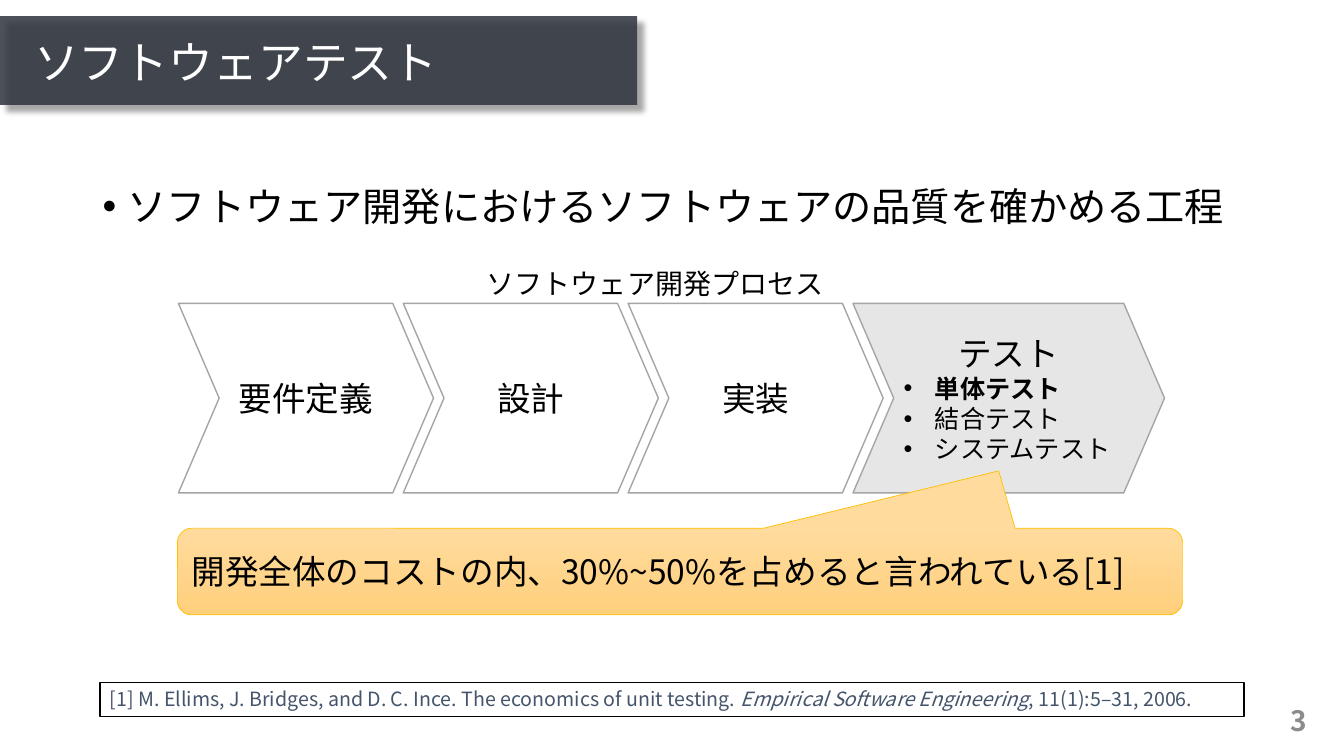
from lxml.etree import SubElement
from pptx import Presentation
from pptx.dml.color import RGBColor
from pptx.enum.shapes import MSO_SHAPE
from pptx.enum.text import MSO_ANCHOR, PP_ALIGN
from pptx.oxml.ns import qn
from pptx.util import Inches, Pt

FONT = "Noto Sans CJK JP"
TITLE = "ソフトウェアテスト"
SUMMARY = "ソフトウェア開発におけるソフトウェアの品質を確かめる工程"
PROCESS_CAPTION = "ソフトウェア開発プロセス"
STAGES = ["要件定義", "設計", "実装", "テスト"]
TEST_LEVELS = [("単体テスト", True), ("結合テスト", False), ("システムテスト", False)]
COST_NOTE = "開発全体のコストの内、30%~50%を占めると言われている[1]"
CITATION = [
    ("[1] M. Ellims, J. Bridges, and D. C. Ince. The economics of unit testing. ", False),
    ("Empirical Software Engineering", True),
    (", 11(1):5–31, 2006.", False),
]
PAGE_NUMBER = "3"

STAGE_LEFT, STAGE_TOP, STAGE_STEP, STAGE_HEIGHT = 1.77, 3.01, 2.23, 1.88
STAGE_WIDTH, TEST_WIDTH = 2.53, 3.09


def color(value):
    return RGBColor.from_string(value)


def add_run(paragraph, text, size, fill="000000", **formats):
    run = paragraph.add_run()
    run.text = text
    run.font.color.rgb = color(fill)
    for name, value in {"size": Pt(size), "name": FONT, **formats}.items():
        setattr(run.font, name, value)
    SubElement(run.font._element, qn("a:ea"), typeface=FONT)


def format_paragraph(paragraph, **formats):
    for name, value in formats.items():
        setattr(paragraph, name, value)


def add_bullet(paragraph, indent):
    properties = paragraph._p.get_or_add_pPr()
    properties.set("marL", str(Inches(indent)))
    properties.set("indent", str(-Inches(indent)))
    SubElement(properties, qn("a:buFont"), typeface="Arial")
    SubElement(properties, qn("a:buChar"), char="•")


def prepare_text(shape, anchor):
    frame = shape.text_frame
    frame.word_wrap = True
    frame.vertical_anchor = anchor
    paragraph = frame.paragraphs[0]
    paragraph.alignment = PP_ALIGN.LEFT
    return paragraph


def add_text(slide, box, anchor=MSO_ANCHOR.TOP):
    shape = slide.shapes.add_textbox(*map(Inches, box))
    return prepare_text(shape, anchor)


def add_panel(slide, kind, box, fill, line=None, width=1, adjustments=()):
    shape = slide.shapes.add_shape(kind, *map(Inches, box))
    shape.shadow.inherit = False
    for index, value in enumerate(adjustments):
        shape.adjustments[index] = value
    shape.fill.solid()
    shape.fill.fore_color.rgb = color(fill)
    if line:
        shape.line.color.rgb = color(line)
        shape.line.width = Pt(width)
    else:
        shape.line.fill.background()
    return shape


def add_title(slide):
    bar = add_panel(slide, MSO_SHAPE.RECTANGLE, (0, 0.16, 6.32, 0.88), "30353F")
    properties = bar._element.spPr
    fill = properties.find(qn("a:solidFill"))
    SubElement(fill[0], qn("a:alpha"), val="86000")
    shadow = SubElement(properties.find(qn("a:effectLst")), qn("a:outerShdw"),
                        blurRad=str(Pt(4)), dist=str(Pt(6)), dir="2700000",
                        algn="tl", rotWithShape="0")
    shade = SubElement(shadow, qn("a:srgbClr"), val="000000")
    SubElement(shade, qn("a:alpha"), val="40000")
    paragraph = add_text(slide, (0.24, 0.24, 6.13, 0.8), MSO_ANCHOR.MIDDLE)
    format_paragraph(paragraph, line_spacing=0.9)
    add_run(paragraph, TITLE, 32, "FFFFFF")


def add_stages(slide):
    for index, stage in enumerate(STAGES):
        is_test = index == len(STAGES) - 1
        box = (STAGE_LEFT + index * STAGE_STEP, STAGE_TOP,
               TEST_WIDTH if is_test else STAGE_WIDTH, STAGE_HEIGHT)
        chevron = add_panel(slide, MSO_SHAPE.CHEVRON, box,
                            "E7E6E6" if is_test else "FFFFFF", "A5A5A5",
                            adjustments=[0.215])
        paragraph = prepare_text(chevron, MSO_ANCHOR.MIDDLE)
        paragraph.alignment = PP_ALIGN.CENTER
        add_run(paragraph, stage, 24)
    for level, bold in TEST_LEVELS:
        paragraph = chevron.text_frame.add_paragraph()
        paragraph.alignment = PP_ALIGN.LEFT
        add_bullet(paragraph, 0.31)
        add_run(paragraph, level, 18, bold=bold)


def add_cost_note(slide):
    callout = add_panel(slide, MSO_SHAPE.ROUNDED_RECTANGULAR_CALLOUT,
                        (1.76, 5.24, 9.97, 0.86), "FFD590", "FFC000", 0.5,
                        [0.317, -1.161, 0.167])
    callout.fill.gradient()
    callout.fill.gradient_angle = 270
    for stop, value in zip(callout.fill.gradient_stops, ("FFDB9E", "FFD07C")):
        stop.color.rgb = color(value)
    add_run(prepare_text(callout, MSO_ANCHOR.MIDDLE), COST_NOTE, 24)


def main():
    presentation = Presentation()
    presentation.slide_width = Inches(13.33)
    presentation.slide_height = Inches(7.5)
    slide = presentation.slides.add_slide(presentation.slide_layouts[6])

    paragraph = add_text(slide, (10.06, 6.95, 3, 0.4), MSO_ANCHOR.MIDDLE)
    paragraph.alignment = PP_ALIGN.RIGHT
    add_run(paragraph, PAGE_NUMBER, 20, "8C8C8C", bold=True)
    add_title(slide)

    paragraph = add_text(slide, (0.92, 1.81, 11.5, 1.29))
    format_paragraph(paragraph, line_spacing=0.9, space_before=Pt(10))
    add_bullet(paragraph, 0.25)
    add_run(paragraph, SUMMARY, 28)

    add_stages(slide)
    add_cost_note(slide)

    citation = add_panel(slide, MSO_SHAPE.RECTANGLE, (0.99, 6.77, 11.35, 0.34),
                         "FFFFFF", "000000")
    paragraph = prepare_text(citation, MSO_ANCHOR.TOP)
    for text, italic in CITATION:
        add_run(paragraph, text, 14, "44546A", italic=italic)
    add_run(add_text(slide, (4.73, 2.59, 3.56, 0.44)), PROCESS_CAPTION, 20)

    presentation.save("out.pptx")


if __name__ == "__main__":
    main()
